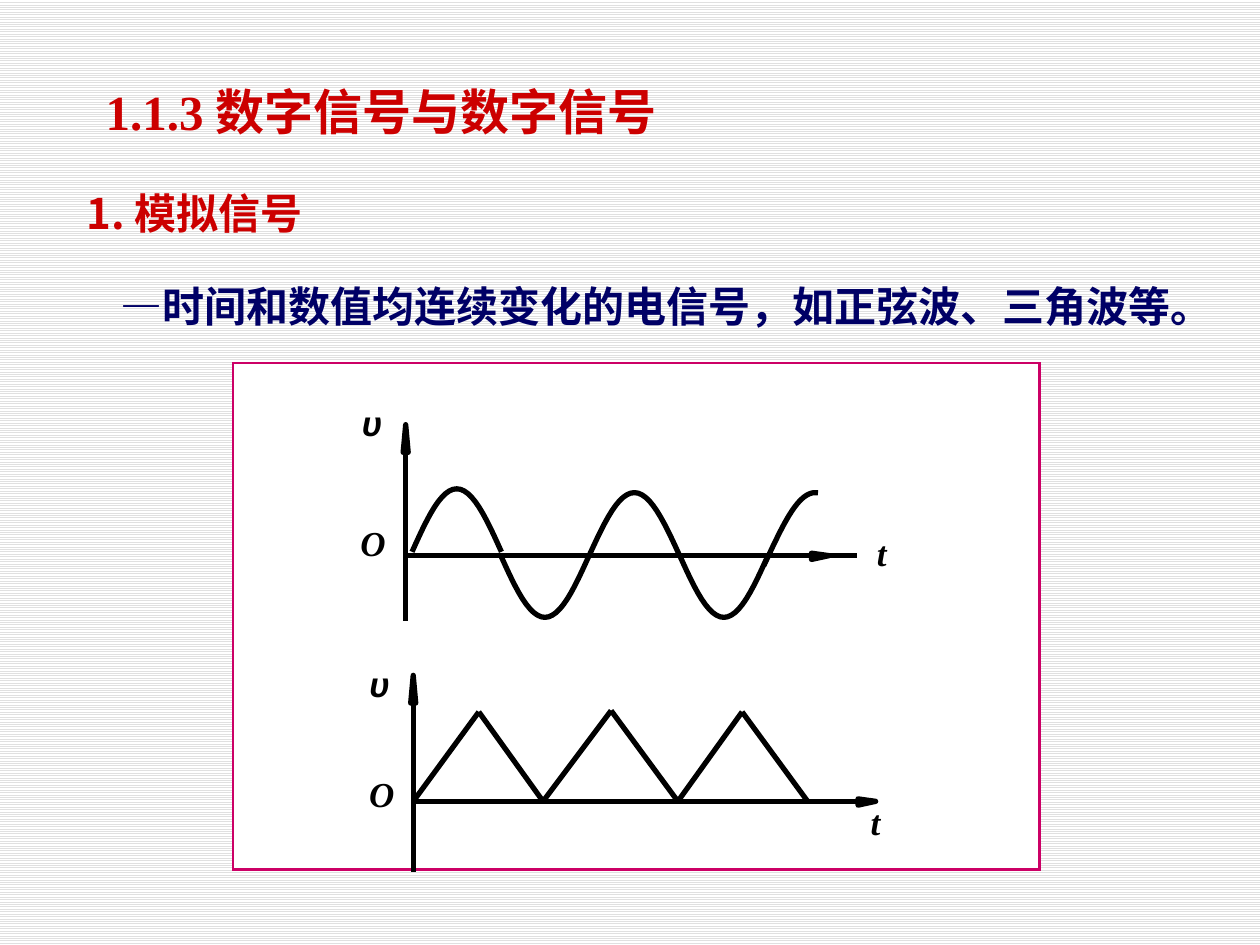
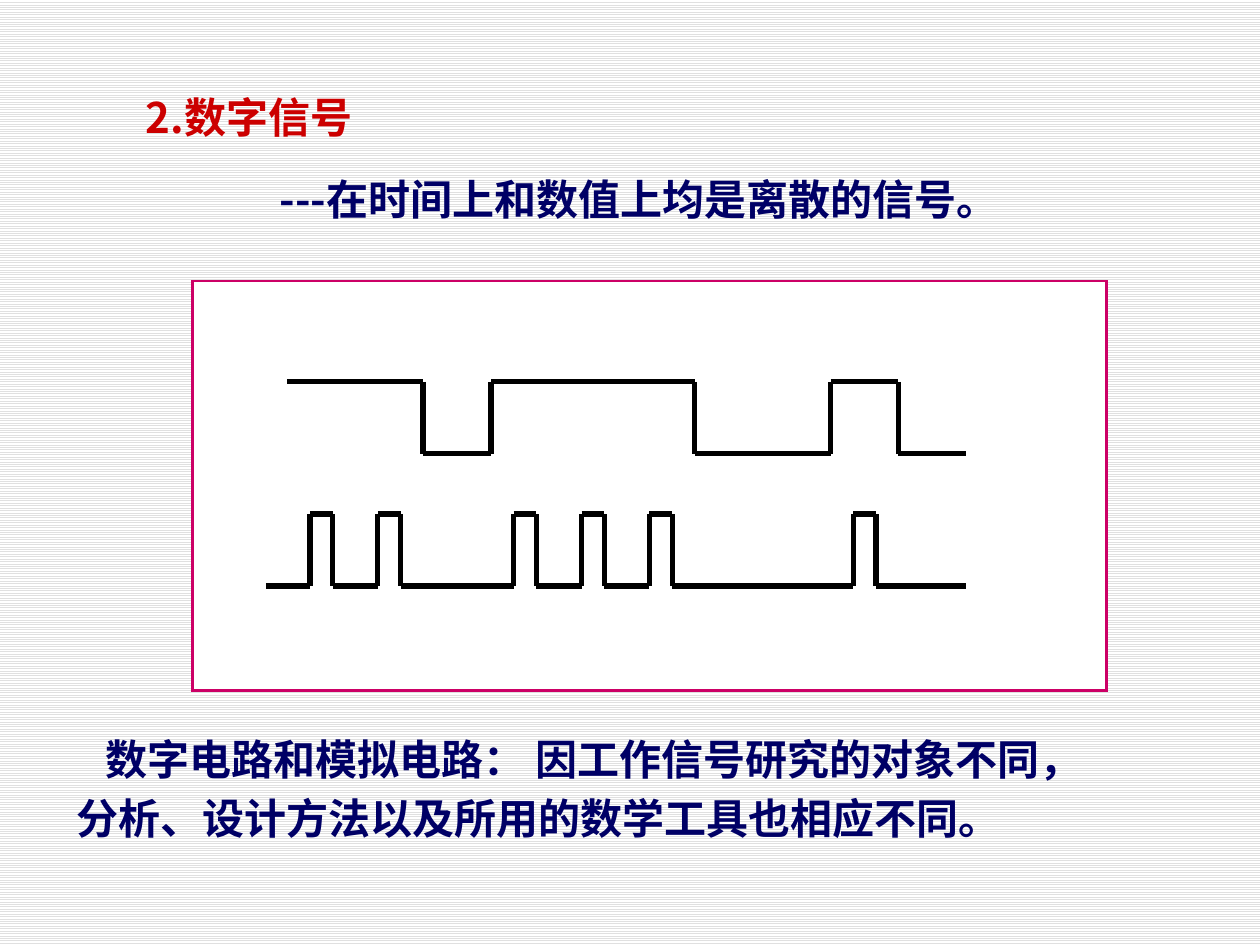
import math
from itertools import pairwise

from lxml import etree
from pptx import Presentation, util as u
from pptx.dml.color import RGBColor
from pptx.enum import dml, shapes, text
from pptx.oxml.ns import qn

COLORS = {"heading": "CC0000", "body": "000066", "ink": "000000",
          "frame": "CC0066", "paper": "FFFFFF", "stripe": "E0E0E0"}
CJK, SERIF, SANS = "Noto Sans CJK SC", "Times New Roman", "Arial"

ANALOG_TEXTS = [
    {"box": (0.74, 0.6, 4.69, 0.57), "paragraphs": [
        {"runs": [("1.1.3 ", SERIF), ("数字信号与数字信号", CJK)], "color": "heading", "size": 28}]},
    {"box": (0.59, 1.44, 6.46, 0.5), "paragraphs": [
        {"runs": [("1. 模拟信号", CJK)], "color": "heading"}]},
    {"box": (0.86, 2.02, 9.14, 0.66), "paragraphs": [
        {"runs": [("—", SERIF), ("时间和数值均连续变化的电信号，如正弦波、三角波等。", CJK)],
         "color": "body", "line": 1.4, "margin": 0.5, "indent": -0.5}]},
]
DIGITAL_TEXTS = [
    {"box": (1.06, 0.6, 8.51, 1.26), "paragraphs": [
        {"runs": [("2.数字信号", CJK)], "color": "heading", "line": 1.2},
        {"runs": [("---在时间上和数值上均是离散的信号。", CJK)],
         "color": "body", "line": 1.2, "before": 12, "margin": 1.06}]},
    {"box": (0.51, 5.77, 9.06, 0.98), "paragraphs": [
        {"runs": [("数字电路和模拟电路： 因工作信号研究的对象不同，", CJK)],
         "color": "body", "indent": 0.23},
        {"runs": [("分析、设计方法以及所用的数学工具也相应不同。", CJK)],
         "color": "body", "before": 4.8}]},
]
ANALOG_FRAME = (1.85, 2.88, 6.4, 4.02)
DIGITAL_FRAME = (1.53, 2.23, 7.25, 3.25)

PLOTS = [
    {"origin": (3.22, 4.41), "top": 3.37, "bottom": 4.93, "right": 6.8, "arrow_tip": 6.58,
     "labels": [("υ", SANS, 2.87, 3.19), ("O", SERIF, 2.86, 4.14), ("t", SERIF, 6.96, 4.22)]},
    {"origin": (3.28, 6.36), "top": 5.36, "bottom": 6.92, "right": 6.95, "arrow_tip": 6.95,
     "labels": [("υ", SANS, 2.93, 5.26), ("O", SERIF, 2.93, 6.13), ("t", SERIF, 6.91, 6.35)]},
]
# left, base, half period, amplitude, first and last phase in half periods
SINE_ARCS = [
    (3.27, 4.38, 0.71, 0.5, 0, 1),
    (3.97, 4.4, 0.71, -0.5, 0, 1),
    (4.68, 4.4, 0.71, 0.49, 0, 1),
    (5.39, 4.4, 0.71, -0.5, 0, 1),
    (6.1, 4.41, 0.74, 0.5, -0.05, 0.53),
]
TRIANGLE_WAVE = [(3.28, 6.36), (3.8, 5.65), (4.31, 6.36), (4.85, 5.64),
                 (5.38, 6.36), (5.89, 5.65), (6.41, 6.36)]

BITS = "1101110010"
BITS_LEFT, BITS_RIGHT = 2.28, 7.67
LEVELS_HIGH, LEVELS_LOW = 3.03, 3.6
PULSES_HIGH, PULSES_LOW = 4.08, 4.65
PULSES_LEFT, PULSE_OFFSET, PULSE_WIDTH = 2.11, 0.18, 0.18


def rgb(name):
    return RGBColor.from_string(COLORS[name])


def set_typeface(font, name):
    font.name = name
    if name == CJK:
        etree.SubElement(font._rPr, qn("a:ea")).set("typeface", name)


def style_font(font, color, size, name=None, italic=None):
    font.size, font.bold, font.italic = u.Pt(size), True, italic
    font.color.rgb = rgb(color)
    if name:
        set_typeface(font, name)


def add_text(slide, box, paragraphs):
    frame = slide.shapes.add_textbox(*map(u.Inches, box)).text_frame
    frame.word_wrap = True
    frame.auto_size = text.MSO_AUTO_SIZE.SHAPE_TO_FIT_TEXT
    for index, content in enumerate(paragraphs):
        paragraph = frame.add_paragraph() if index else frame.paragraphs[0]
        runs = content["runs"]
        shared = runs[0][1] if len(runs) == 1 else None
        style_font(paragraph.font, content["color"], content.get("size", 24), shared)
        paragraph.line_spacing = content.get("line")
        paragraph.space_before = u.Pt(content.get("before", 0))
        properties = paragraph._p.get_or_add_pPr()
        properties.set("marL", str(u.Inches(content.get("margin", 0))))
        properties.set("indent", str(u.Inches(content.get("indent", 0))))
        for words, name in runs:
            run = paragraph.add_run()
            run.text = words
            if not shared:
                set_typeface(run.font, name)


def add_label(slide, words, name, left, top):
    box = slide.shapes.add_textbox(*map(u.Inches, (left, top, 0.2, 0.33)))
    frame = box.text_frame
    frame.word_wrap = False
    frame.auto_size = text.MSO_AUTO_SIZE.SHAPE_TO_FIT_TEXT
    frame.margin_left = frame.margin_top = frame.margin_right = frame.margin_bottom = 0
    paragraph = frame.paragraphs[0]
    paragraph.text = words
    paragraph.alignment = text.PP_ALIGN.LEFT
    style_font(paragraph.font, "ink", 20, name, True)


def set_line(shape, color, width):
    shape.line.color.rgb = rgb(color)
    shape.line.width = u.Pt(width)


def add_frame(slide, box):
    frame = slide.shapes.add_shape(shapes.MSO_SHAPE.RECTANGLE, *map(u.Inches, box))
    frame.shadow.inherit = False
    frame.fill.solid()
    frame.fill.fore_color.rgb = rgb("paper")
    set_line(frame, "frame", 1.5)
    etree.SubElement(frame.line._get_or_add_ln(), qn("a:miter")).set("lim", "800000")


def add_segments(slide, points):
    for start, end in pairwise(points):
        line = slide.shapes.add_connector(
            shapes.MSO_CONNECTOR.STRAIGHT, *map(u.Inches, start + end))
        set_line(line, "ink", 3)
        etree.SubElement(line._element.spPr, qn("a:effectLst"))


def add_outline(slide, points, closed=False):
    vertices = [(u.Inches(x), u.Inches(y)) for x, y in points]
    builder = slide.shapes.build_freeform(*vertices[0])
    builder.add_line_segments(vertices[1:], close=closed)
    outline = builder.convert_to_shape()
    outline.shadow.inherit = False
    if closed:
        outline.fill.solid()
        outline.fill.fore_color.rgb = rgb("ink")
    else:
        outline.fill.background()
    set_line(outline, "ink", 3)


def add_axes(slide, plot):
    x, y = plot["origin"]
    top, tip = plot["top"], plot["arrow_tip"]
    add_segments(slide, [(x, top), (x, plot["bottom"])])
    add_segments(slide, [(x, y), (plot["right"], y)])
    add_outline(slide, [(x - 0.02, top + 0.22), (x, top), (x + 0.02, top + 0.22)], True)
    add_outline(slide, [(tip - 0.14, y - 0.02), (tip, y), (tip - 0.14, y + 0.03)], True)
    for label in plot["labels"]:
        add_label(slide, *label)


def sine_arc(left, base, half_period, amplitude, first, last, steps=24):
    phases = [first + (last - first) * step / steps for step in range(steps + 1)]
    return [(left + half_period * phase, base - amplitude * math.sin(math.pi * phase))
            for phase in phases]


def level_points(cell):
    points = []
    for index, bit in enumerate(BITS):
        y = LEVELS_HIGH if bit == "1" else LEVELS_LOW
        left = BITS_LEFT + index * cell
        if points and points[-1][1] == y:
            points.pop()
        else:
            points.append((left, y))
        points.append((left + cell, y))
    return points


def pulse_points(cell):
    points = [(PULSES_LEFT, PULSES_LOW)]
    for index, bit in enumerate(BITS):
        if bit == "1":
            left = BITS_LEFT + PULSE_OFFSET + index * cell
            right = left + PULSE_WIDTH
            points += [(left, PULSES_LOW), (left, PULSES_HIGH),
                       (right, PULSES_HIGH), (right, PULSES_LOW)]
    return points + [(BITS_RIGHT, PULSES_LOW)]


def add_slide(presentation, frame, texts):
    slide = presentation.slides.add_slide(presentation.slide_layouts[6])
    fill = slide.background.fill
    fill.patterned()
    fill.pattern = dml.MSO_PATTERN.LIGHT_HORIZONTAL
    fill.fore_color.rgb, fill.back_color.rgb = rgb("stripe"), rgb("paper")
    add_frame(slide, frame)
    for item in texts:
        add_text(slide, **item)
    return slide


def main():
    presentation = Presentation()
    presentation.slide_width, presentation.slide_height = u.Inches(10), u.Inches(7.5)

    analog = add_slide(presentation, ANALOG_FRAME, ANALOG_TEXTS)
    for plot in PLOTS:
        add_axes(analog, plot)
    for arc in SINE_ARCS:
        add_outline(analog, sine_arc(*arc))
    add_segments(analog, TRIANGLE_WAVE)

    digital = add_slide(presentation, DIGITAL_FRAME, DIGITAL_TEXTS)
    cell = (BITS_RIGHT - BITS_LEFT) / len(BITS)
    add_segments(digital, level_points(cell))
    add_segments(digital, pulse_points(cell))

    presentation.save("out.pptx")


if __name__ == "__main__":
    main()
